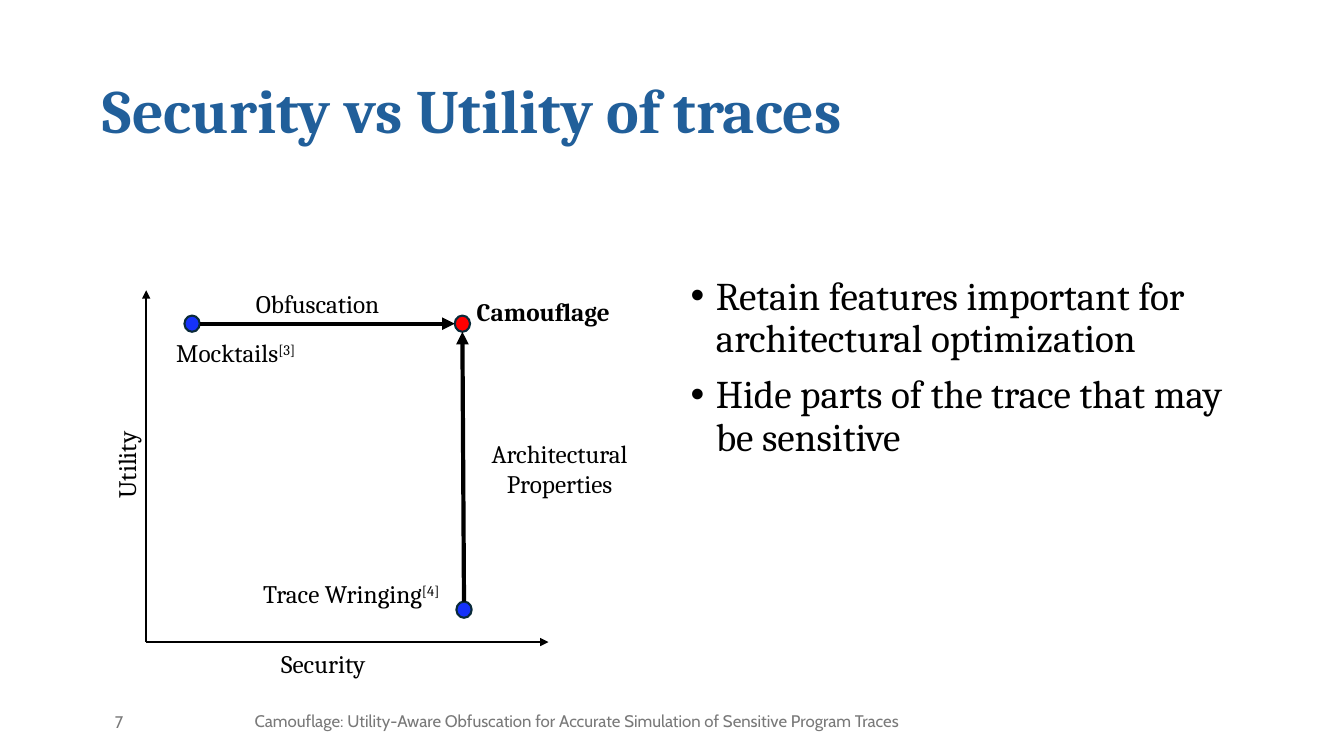
from typing import NamedTuple

from lxml import etree
from pptx import Presentation
from pptx.dml.color import RGBColor
from pptx.enum.shapes import MSO_CONNECTOR, MSO_SHAPE
from pptx.enum.text import MSO_ANCHOR, MSO_AUTO_SIZE, PP_ALIGN
from pptx.oxml.ns import qn
from pptx.util import Inches, Pt

LEFT, CENTER, RIGHT = PP_ALIGN.LEFT, PP_ALIGN.CENTER, PP_ALIGN.RIGHT
TOP, MIDDLE = MSO_ANCHOR.TOP, MSO_ANCHOR.MIDDLE
GROW, FIXED = MSO_AUTO_SIZE.SHAPE_TO_FIT_TEXT, MSO_AUTO_SIZE.NONE
STRAIGHT, OVAL = MSO_CONNECTOR.STRAIGHT, MSO_SHAPE.OVAL

BLACK = RGBColor(0x00, 0x00, 0x00)
TITLE_BLUE = RGBColor(0x21, 0x5F, 0x9A)
DOT_BLUE = RGBColor(0x15, 0x32, 0xFA)
DOT_RED = RGBColor(0xFF, 0x00, 0x00)
DOT_EDGE = RGBColor(0x09, 0x2A, 0x39)
FOOTER_GRAY = RGBColor(0x79, 0x79, 0x79)

SERIF, SANS = "Cambria", "Cabin"


class Box(NamedTuple):
    left: float
    top: float
    width: float
    height: float

    def point(self, x, y):
        """Position at x and y percent of this box."""
        return self.left + self.width * x / 100, self.top + self.height * y / 100

    def area(self, x, y, width, height):
        """Box given in percent of this one."""
        return Box(*self.point(x, y), self.width * width / 100, self.height * height / 100)

    def lengths(self):
        return [Inches(value) for value in self]


SLIDE = Box(0, 0, 13.33, 7.5)


def place(shape, box):
    shape.left, shape.top, shape.width, shape.height = box.lengths()


def write(paragraph, text, size=18, font=SERIF, color=BLACK, bold=False,
          align=LEFT, superscript=""):
    paragraph.alignment = align
    for words, raised in ((text, False), (superscript, True)):
        if not words:
            continue
        run = paragraph.add_run()
        run.text = words
        run.font.size, run.font.name, run.font.bold = Pt(size), font, bold
        run.font.color.rgb = color
        if raised:
            run.font._element.set("baseline", "30000")


def add_label(slide, box, text, wrap=False, anchor=TOP, rotation=0, fit=GROW, **style):
    shape = slide.shapes.add_textbox(*box.lengths())
    shape.rotation = rotation
    frame = shape.text_frame
    frame.word_wrap, frame.auto_size, frame.vertical_anchor = wrap, fit, anchor
    write(frame.paragraphs[0], text, **style)


def add_arrow(slide, start, end, weight):
    arrow = slide.shapes.add_connector(
        STRAIGHT, *[Inches(value) for value in (*start, *end)])
    arrow.line.color.rgb = BLACK
    arrow.line.width = Pt(weight)
    etree.SubElement(arrow.line._get_or_add_ln(), qn("a:tailEnd"), type="triangle")
    etree.SubElement(arrow._element.spPr, qn("a:effectLst"))


def add_dot(slide, box, color):
    dot = slide.shapes.add_shape(OVAL, *box.lengths())
    dot.shadow.inherit = False
    dot.fill.solid()
    dot.fill.fore_color.rgb = color
    dot.line.color.rgb = DOT_EDGE
    dot.line.width = Pt(1.5)


def fill_title(slide, box):
    title = slide.shapes.title
    place(title, box)
    frame = title.text_frame
    frame.auto_size, frame.vertical_anchor, frame.word_wrap = FIXED, MIDDLE, True
    paragraph = frame.paragraphs[0]
    paragraph.line_spacing = 0.9
    write(paragraph, "Security vs Utility of traces", size=44, color=TITLE_BLUE, bold=True)


def fill_bullets(slide, box):
    body = slide.placeholders[1]
    place(body, box)
    frame = body.text_frame
    frame.auto_size, frame.vertical_anchor, frame.word_wrap = FIXED, TOP, True
    points = ("Retain features important for architectural optimization",
              "Hide parts of the trace that may be sensitive")
    for index, point in enumerate(points):
        paragraph = frame.add_paragraph() if index else frame.paragraphs[0]
        properties = paragraph._p.get_or_add_pPr()
        properties.set("marL", str(Inches(0.25)))
        properties.set("indent", str(-Inches(0.25)))
        etree.SubElement(properties, qn("a:buFont"), typeface="Arial")
        etree.SubElement(properties, qn("a:buChar"), char="•")
        paragraph.line_spacing = 0.9
        paragraph.space_before = Pt(10 if index else 0)
        write(paragraph, point, size=28)


def draw_tradeoff(slide, plot):
    """Utility against security, laid out in percent of the plot."""
    radius_x, radius_y = 1.9, 2.3
    high, low, secure = 9.5, 90.8, 78.6
    mocktails, wringing = 11.4, 79

    origin = plot.point(0, 100)
    for end in (plot.point(0, 0), plot.point(100, 100)):
        add_arrow(slide, origin, end, 1.5)
    for x, y, color in ((mocktails, high, DOT_BLUE), (wringing, low, DOT_BLUE),
                        (secure, high, DOT_RED)):
        add_dot(slide, plot.area(x - radius_x, y - radius_y, 2 * radius_x, 2 * radius_y), color)
    add_arrow(slide, plot.point(mocktails + radius_x, high),
              plot.point(secure - radius_x, high), 3)
    add_arrow(slide, plot.point(wringing, low - radius_y),
              plot.point(secure, high + radius_y), 3)

    line = 11.5
    labels = (
        ("Trace Wringing", (26.6, 80.5, 52.9, line), {"superscript": "[4]", "wrap": True}),
        ("Utility", (-16.5, 43, 23.1, line), {"rotation": 270}),
        ("Security", (31.1, 100.3, 28.1, line), {}),
        ("Architectural Properties", (80.7, 40.7, 44.1, 20.3), {"wrap": True, "align": CENTER}),
        ("Obfuscation", (24.8, -2, 38.8, line), {}),
        ("Camouflage", (79.7, 0.3, 40.1, line), {"bold": True}),
        ("Mocktails", (5, 12, 37.3, line), {"superscript": "[3]"}),
    )
    for text, shares, style in labels:
        add_label(slide, plot.area(*shares), text, **style)


def add_footer(slide, box):
    style = {"size": 12, "font": SANS, "color": FOOTER_GRAY,
             "wrap": True, "anchor": MIDDLE, "fit": FIXED}
    add_label(slide, box.area(0.5, 0, 99.5, 100),
              "Camouflage: Utility-Aware Obfuscation for Accurate Simulation "
              "of Sensitive Program Traces", align=CENTER, **style)
    add_label(slide, box.area(0, 2, 4.66, 100), "7", align=RIGHT, **style)


def main():
    presentation = Presentation()
    presentation.slide_width, presentation.slide_height = SLIDE.lengths()[2:]
    slide = presentation.slides.add_slide(presentation.slide_layouts[1])
    fill_title(slide, SLIDE.area(6.9, 5.33, 86.27, 19.33))
    fill_bullets(slide, SLIDE.area(50.64, 35.87, 42.54, 54.27))
    draw_tradeoff(slide, SLIDE.area(10.88, 38.4, 29.93, 46.53))
    add_footer(slide, SLIDE.area(6.53, 92.67, 72.47, 5.33))
    presentation.save("out.pptx")


if __name__ == "__main__":
    main()
